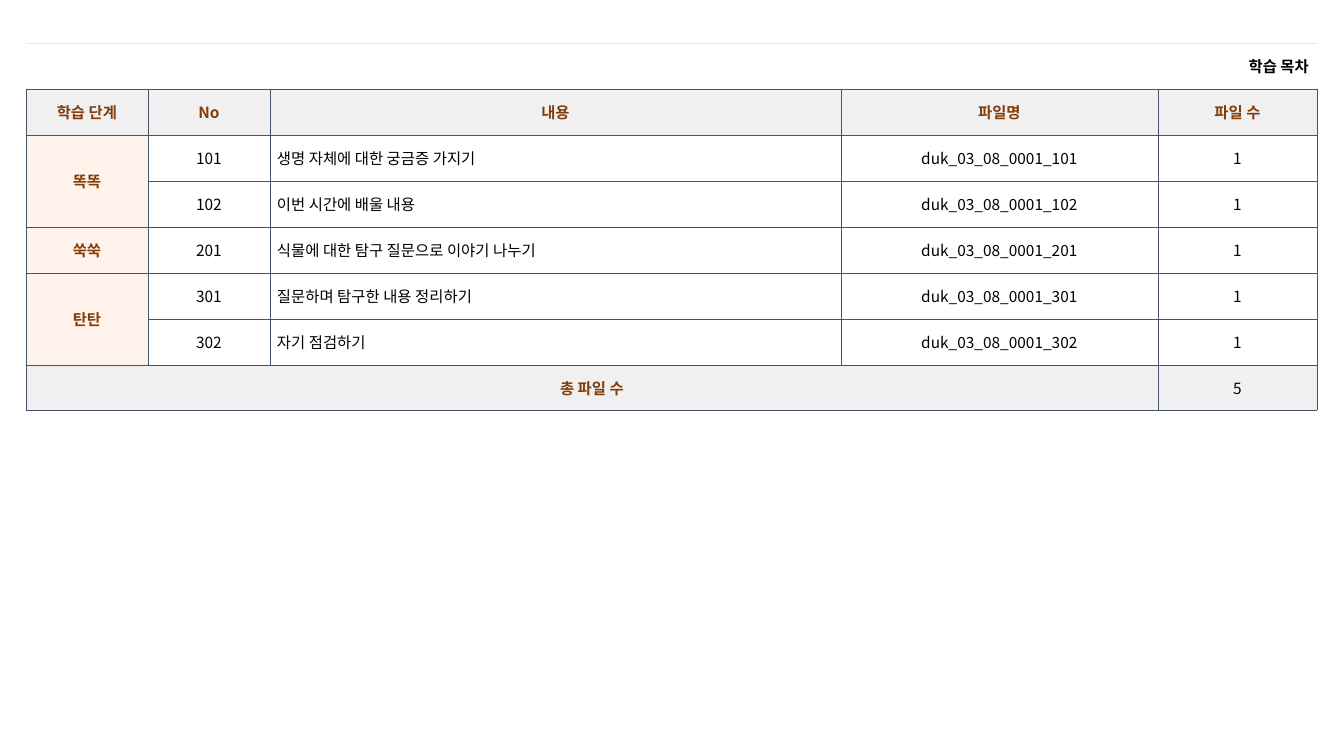
from lxml import etree
from pptx import Presentation
from pptx import util as u
from pptx.dml.color import RGBColor
from pptx.enum import text
from pptx.oxml.ns import qn

PX = 914400 / 100.8
BLACK = RGBColor(0x00, 0x00, 0x00)
WHITE = RGBColor(0xFF, 0xFF, 0xFF)
BROWN = RGBColor(0x84, 0x3C, 0x0B)
GRAY = RGBColor(0xF1, 0xF0, 0xF0)
PEACH = RGBColor(0xFF, 0xF3, 0xEB)
BLUSH = RGBColor(0xFB, 0xE5, 0xD6)
SLATE = RGBColor(0x44, 0x54, 0x6A)

LEFT = text.PP_ALIGN.LEFT
MID = text.PP_ALIGN.CENTER
RIGHT = text.PP_ALIGN.RIGHT

COLS = [122, 122, 571, 317, 159]
ROWS = [46] * 7 + [45]
HEADS = ["학습 단계", "No", "내용", "파일명", "파일 수"]
STEPS = [
    ("똑똑", [(101, "생명 자체에 대한 궁금증 가지기"),
            (102, "이번 시간에 배울 내용")]),
    ("쑥쑥", [(201, "식물에 대한 탐구 질문으로 이야기 나누기")]),
    ("탄탄", [(301, "질문하며 탐구한 내용 정리하기"),
            (302, "자기 점검하기")]),
]
GRID = {side: (SLATE, 0.5) for side in "LRTB"}
OPEN = {"L": None, "R": None, "T": (BLUSH, 0.25), "B": (SLATE, 0.5)}


def px(n):
    return u.Emu(round(n * PX))


class Deck:
    font = "Noto Sans CJK KR"
    size = u.Pt(11)

    def __init__(self, wide, high):
        self.prs = Presentation()
        self.prs.slide_width = px(wide)
        self.prs.slide_height = px(high)
        self.slide = self.prs.slides.add_slide(self.prs.slide_layouts[6])

    def table(self, x, y, cols, rows):
        frame = self.slide.shapes.add_table(
            len(rows), len(cols), px(x), px(y), px(sum(cols)), px(sum(rows)))
        table = frame.table
        table.first_row = table.horz_banding = False
        for col, wide in zip(table.columns, cols):
            col.width = px(wide)
        for row, high in zip(table.rows, rows):
            row.height = px(high)
        return table

    def edges(self, cell, lines):
        """Draw the four borders; None leaves a side open."""
        props = cell._tc.get_or_add_tcPr()
        for i, side in enumerate("LRTB"):
            line = etree.Element(qn(f"a:ln{side}"))
            if lines[side]:
                color, width = lines[side]
                line.set("w", str(u.Pt(width)))
                fill = etree.SubElement(line, qn("a:solidFill"))
                etree.SubElement(fill, qn("a:srgbClr"), val=str(color))
            else:
                etree.SubElement(line, qn("a:noFill"))
            props.insert(i, line)

    def cell(self, table, row, col, words, fill=WHITE, color=BLACK, bold=False,
             align=MID, span=(1, 1), lines=GRID, pad=7):
        cell = table.cell(row, col)
        down, across = span
        if span != (1, 1):
            cell.merge(table.cell(row + down - 1, col + across - 1))
        for r in range(row, row + down):
            for c in range(col, col + across):
                part = table.cell(r, c)
                if fill is None:
                    part.fill.background()
                else:
                    part.fill.solid()
                    part.fill.fore_color.rgb = fill
                self.edges(part, lines)
        cell.margin_left = cell.margin_right = px(pad)
        cell.margin_top = cell.margin_bottom = px(5)
        cell.vertical_anchor = text.MSO_ANCHOR.MIDDLE
        para = cell.text_frame.paragraphs[0]
        para.alignment = align
        run = para.add_run()
        run.text = words
        run.font.size, run.font.bold = self.size, bold
        run.font.color.rgb = color
        run.font.name = self.font
        east = etree.SubElement(run._r.get_or_add_rPr(), qn("a:ea"))
        east.set("typeface", self.font)

    def label(self, table, row, col, words, fill=GRAY, span=(1, 1)):
        self.cell(table, row, col, words, fill, BROWN, True, span=span)


def main():
    deck = Deck(1344, 756)
    table = deck.table(26, 43, COLS, ROWS)
    deck.cell(table, 0, 0, "학습 목차", None, bold=True, align=RIGHT,
              span=(1, len(COLS)), lines=OPEN, pad=8)
    for col, head in enumerate(HEADS):
        deck.label(table, 1, col, head)

    row = 2
    for step, items in STEPS:
        deck.label(table, row, 0, step, PEACH, (len(items), 1))
        for num, topic in items:
            deck.cell(table, row, 1, str(num))
            deck.cell(table, row, 2, topic, align=LEFT)
            deck.cell(table, row, 3, f"duk_03_08_0001_{num}")
            deck.cell(table, row, 4, "1")
            row += 1

    deck.label(table, row, 0, "총 파일 수", span=(1, 4))
    deck.cell(table, row, 4, str(sum(len(items) for _, items in STEPS)), GRAY)
    deck.prs.save("out.pptx")


if __name__ == "__main__":
    main()
